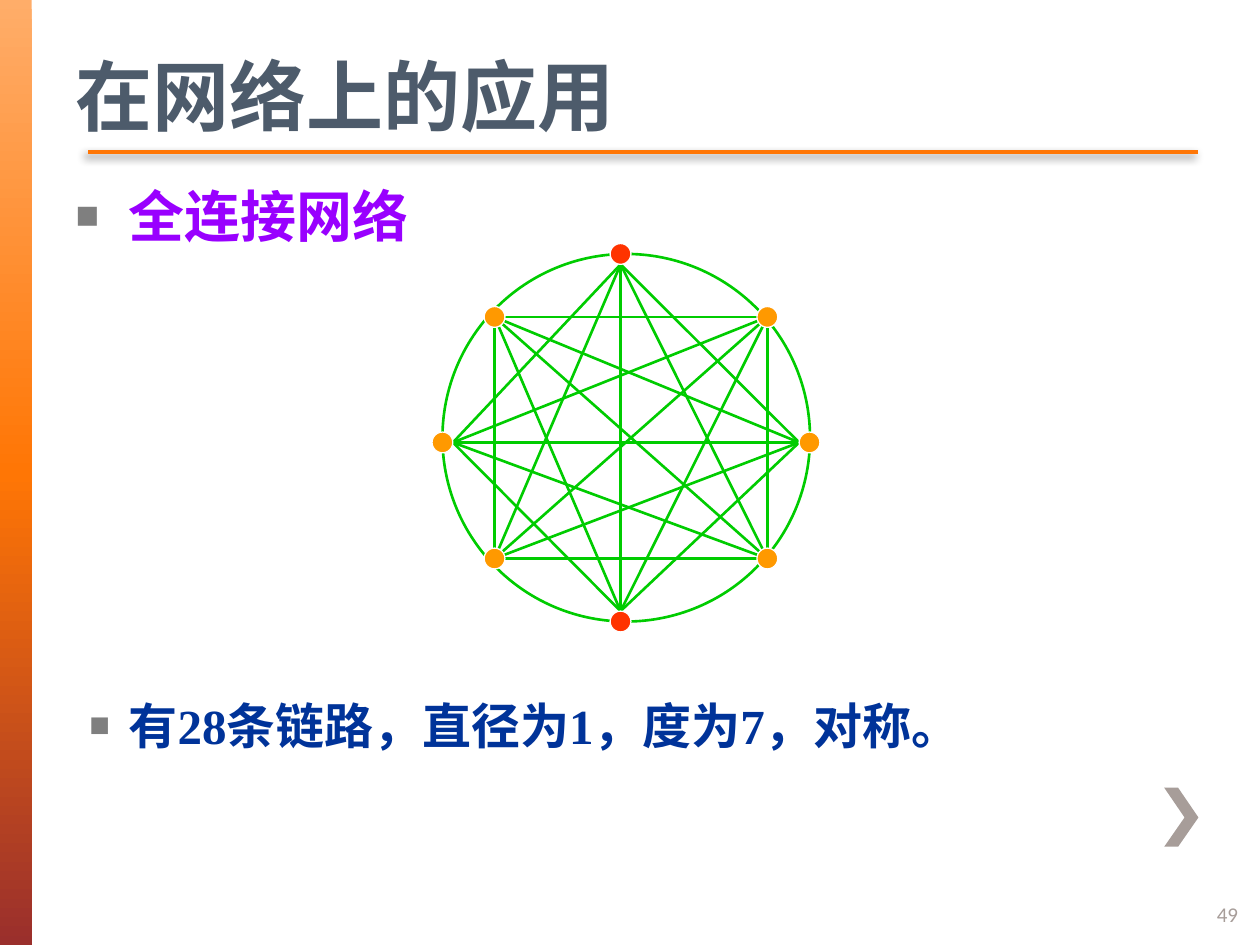
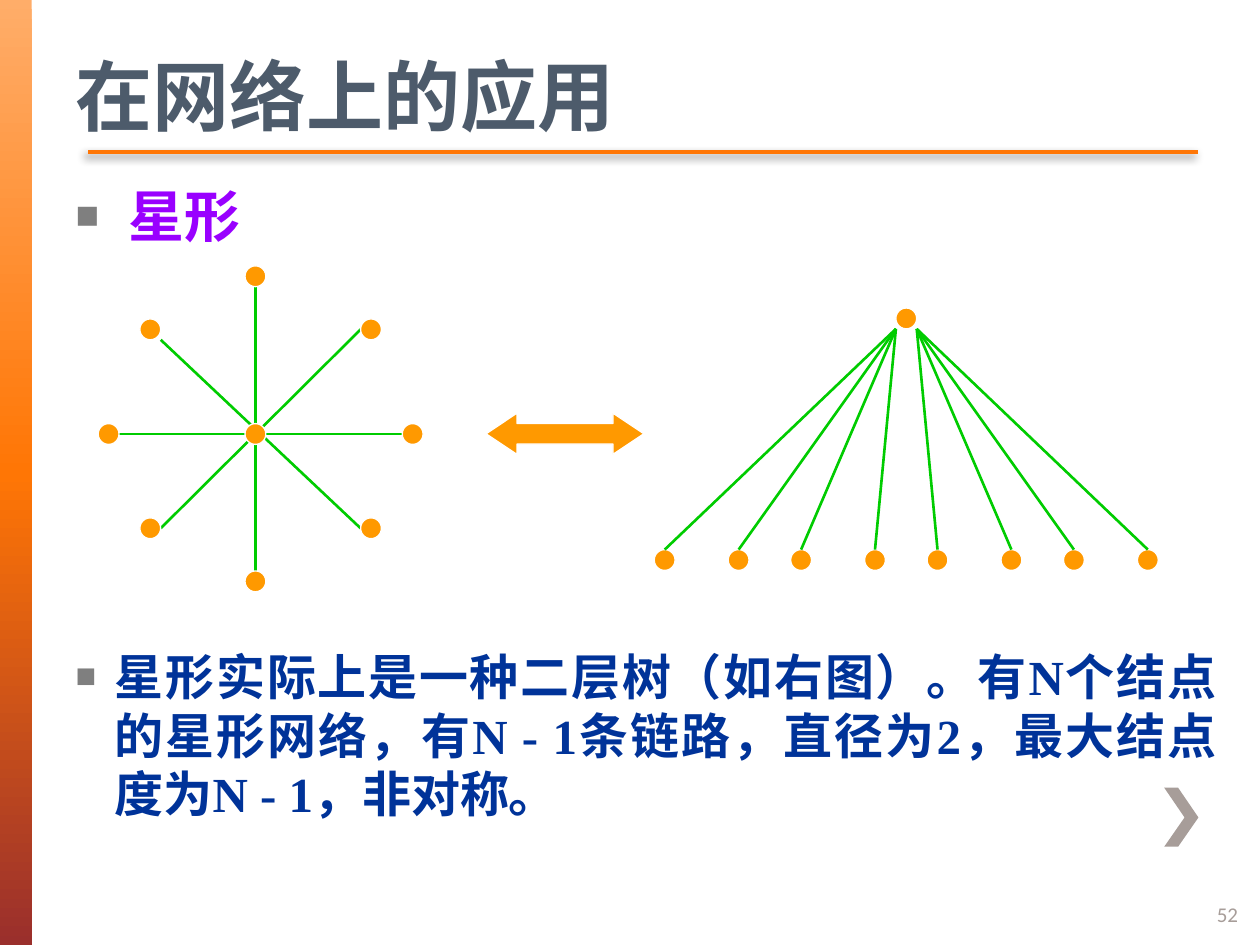
"""Build two slides on network topologies: fully connected and star."""
from dataclasses import dataclass
from itertools import combinations
from typing import Optional

from lxml import etree
from pptx import Presentation
from pptx import util as u
from pptx.dml.color import RGBColor
from pptx.enum import shapes, text
from pptx.oxml.ns import qn

ORANGE, RED, GREEN, WHITE = "FF9900", "FF3300", "00CC00", "FFFFFF"
ACCENT, SLATE, TAUPE = "FF7605", "4D5B6B", "A79D99"
PURPLE, NAVY, BULLET_GREY = "9900FF", "003399", "7F7F7F"
BAND_STOPS = ((0, "FFAD69"), (50, ACCENT), (100, "9A2F2C"))
TITLE_FONT, BODY_FONT = "Calibri", "Times New Roman"
NODE_SIZE = 0.42
EDGE = NODE_SIZE / 2


@dataclass(frozen=True)
class Box:
    left: float
    top: float
    width: float
    height: float


@dataclass(frozen=True)
class Node:
    """A network node: its centre, and the offset where its links attach."""
    x: float
    y: float
    port_x: float = 0
    port_y: float = 0
    color: str = ORANGE

    def port(self) -> tuple[float, float]:
        return self.x + self.port_x, self.y + self.port_y


@dataclass(frozen=True)
class Topic:
    number: str
    headline: str
    note: str
    note_box: Box


TITLE = "在网络上的应用"
TITLE_BOX = Box(1.27, 0.91, 22.86, 2.01)
HEADLINE_BOX = Box(0, 3.53, 24.33, 1.9)
NUMBER_BOX = Box(24.28, 17.91, 1.07, 1.02)

FULL = Topic("49", "全连接网络", "有28条链路，直径为1，度为7，对称。",
             Box(0.28, 13.89, 25.12, 1.52))
STAR = Topic("52", "星形",
             "星形实际上是一种二层树（如右图）。有N个结点的星形网络，"
             "有N - 1条链路，直径为2，最大结点度为N - 1，非对称。",
             Box(0, 12.9, 24.77, 5.51))

FULL_RING = Box(8.92, 5.12, 7.41, 7.41)
FULL_NODES = (
    Node(12.51, 5.12, 0, EDGE, RED),
    Node(15.47, 6.39),
    Node(16.32, 8.92, -EDGE, 0),
    Node(15.47, 11.26),
    Node(12.51, 12.53, 0, -EDGE, RED),
    Node(9.97, 11.26),
    Node(8.92, 8.92, EDGE, 0),
    Node(9.97, 6.39),
)

HUB = Node(5.15, 8.75)
STAR_NODES = (
    Node(5.15, 5.57, 0, EDGE),
    Node(7.48, 6.64, -EDGE, 0),
    Node(8.32, 8.75, -EDGE, 0),
    Node(7.48, 10.65, -EDGE, 0),
    Node(5.15, 11.72, 0, -EDGE),
    Node(3.03, 10.65, EDGE, 0),
    Node(2.19, 8.75, EDGE, 0),
    Node(3.03, 6.64, EDGE, EDGE),
)

ARROW_BOX = Box(9.8, 8.33, 3.18, 0.83)
ROOT = Node(18.27, 6.42)
LEAVES = tuple(Node(13.4 + 2.75 * pair + 1.49 * member, 11.29, 0, -EDGE)
               for pair in range(4) for member in range(2))


def rgb(color: str) -> RGBColor:
    return RGBColor.from_string(color)


def cm(*lengths: float) -> list[int]:
    return [u.Cm(length) for length in lengths]


def place(shape, box: Box) -> None:
    shape.left, shape.top, shape.width, shape.height = cm(
        box.left, box.top, box.width, box.height)


def add_bullet(paragraph, margin: float, indent: float) -> None:
    """Give a paragraph a hanging square bullet."""
    properties = paragraph._p.get_or_add_pPr()
    properties.set("marL", str(u.Cm(margin)))
    properties.set("indent", str(u.Cm(indent)))
    color = etree.SubElement(properties, qn("a:buClr"))
    etree.SubElement(color, qn("a:srgbClr"), val=BULLET_GREY)
    etree.SubElement(properties, qn("a:buSzPct"), val="70000")
    etree.SubElement(properties, qn("a:buChar"), char="■")


def write(shape, words: str, *, size: float, color: str, font: str = BODY_FONT,
          bold: bool = True, align=text.PP_ALIGN.LEFT, anchor=text.MSO_ANCHOR.TOP,
          bullet: Optional[tuple[float, float]] = None) -> None:
    """Fill a shape with one formatted paragraph."""
    frame = shape.text_frame
    frame.word_wrap = True
    frame.auto_size = text.MSO_AUTO_SIZE.NONE
    frame.vertical_anchor = anchor
    paragraph = frame.paragraphs[0]
    if bullet:
        add_bullet(paragraph, *bullet)
    paragraph.alignment = align
    paragraph.space_before = u.Pt(0)
    run = paragraph.add_run()
    run.text = words
    run.font.size = u.Pt(size)
    run.font.name = font
    run.font.bold = bold
    run.font.color.rgb = rgb(color)


def add_figure(slide, kind, box: Box, fill: Optional[str] = None,
               line: Optional[str] = None, weight: float = 0.75):
    """Draw a preset shape without shadow."""
    figure = slide.shapes.add_shape(
        kind, *cm(box.left, box.top, box.width, box.height))
    figure.shadow.inherit = False
    if fill:
        figure.fill.solid()
        figure.fill.fore_color.rgb = rgb(fill)
    else:
        figure.fill.background()
    if line:
        figure.line.color.rgb = rgb(line)
        figure.line.width = u.Pt(weight)
    else:
        figure.line.fill.background()
    return figure


def add_line(slide, start: tuple[float, float], end: tuple[float, float],
             color: str = GREEN, weight: float = 1.5):
    """Draw a straight line and return its empty effect list."""
    line = slide.shapes.add_connector(
        shapes.MSO_CONNECTOR.STRAIGHT, *cm(*start, *end))
    line.line.color.rgb = rgb(color)
    line.line.width = u.Pt(weight)
    return etree.SubElement(line._element.spPr, qn("a:effectLst"))


def add_nodes(slide, *nodes: Node) -> None:
    for node in nodes:
        box = Box(node.x - EDGE, node.y - EDGE, NODE_SIZE, NODE_SIZE)
        add_figure(slide, shapes.MSO_SHAPE.OVAL, box, node.color, WHITE)


def add_band(slide) -> None:
    """Draw the gradient band on the left edge."""
    band = add_figure(slide, shapes.MSO_SHAPE.RECTANGLE, Box(0, 0, 0.64, 19.05))
    band.fill.gradient()
    band.fill.gradient_angle = 270
    stops = band._element.spPr.find(qn("a:gradFill")).find(qn("a:gsLst"))
    for stop in list(stops):
        stops.remove(stop)
    for position, color in BAND_STOPS:
        stop = etree.SubElement(stops, qn("a:gs"), pos=str(position * 1000))
        etree.SubElement(stop, qn("a:srgbClr"), val=color)


def add_chevron(slide) -> None:
    """Draw the chevron at the lower right."""
    outline = [(23.75, 15.88), (23.47, 15.88), (23.88, 16.48),
               (23.47, 17.07), (23.75, 17.07), (24.16, 16.48)]
    start, *rest = [cm(*point) for point in outline]
    builder = slide.shapes.build_freeform(*start)
    builder.add_line_segments(rest, close=True)
    chevron = builder.convert_to_shape()
    chevron.shadow.inherit = False
    chevron.fill.solid()
    chevron.fill.fore_color.rgb = rgb(TAUPE)
    chevron.line.fill.background()


def add_title_rule(slide) -> None:
    """Draw the shadowed rule under the title."""
    effects = add_line(slide, (1.78, 3.07), (24.16, 3.07), ACCENT, 2.5)
    shadow = etree.SubElement(
        effects, qn("a:outerShdw"), blurRad=str(u.Pt(5)), dist=str(u.Pt(3)),
        dir=str(135 * 60000), algn="tr", rotWithShape="0")
    color = etree.SubElement(shadow, qn("a:srgbClr"), val="000000")
    etree.SubElement(color, qn("a:alpha"), val="45000")


def add_topic(deck, topic: Topic):
    """Add a slide with the shared frame and the texts of one topic."""
    slide = deck.slides.add_slide(deck.slide_layouts[3])
    title, headline, note = slide.placeholders
    add_band(slide)
    add_chevron(slide)
    add_title_rule(slide)
    place(title, TITLE_BOX)
    write(title, TITLE, size=44, color=SLATE, font=TITLE_FONT,
          anchor=text.MSO_ANCHOR.MIDDLE)
    place(headline, HEADLINE_BOX)
    write(headline, topic.headline, size=32, color=PURPLE, bullet=(2.34, -1.07))
    place(note, topic.note_box)
    write(note, topic.note, size=28, color=NAVY, align=text.PP_ALIGN.JUSTIFY,
          bullet=(2.06, -0.79))
    number = slide.shapes.add_textbox(0, 0, 0, 0)
    place(number, NUMBER_BOX)
    write(number, topic.number, size=12, color=TAUPE, font=TITLE_FONT,
          bold=False, anchor=text.MSO_ANCHOR.MIDDLE)
    return slide


def draw_full_network(slide) -> None:
    """Join every pair of nodes; the ring joins the neighbours."""
    add_figure(slide, shapes.MSO_SHAPE.OVAL, FULL_RING, line=GREEN, weight=1.5)
    last = len(FULL_NODES) - 1
    for (i, first), (j, second) in combinations(enumerate(FULL_NODES), 2):
        if j - i not in (1, last):
            add_line(slide, first.port(), second.port())
    add_nodes(slide, *FULL_NODES)


def draw_star(slide) -> None:
    """Join opposite nodes through the hub."""
    half = len(STAR_NODES) // 2
    for first, second in zip(STAR_NODES[:half], STAR_NODES[half:]):
        add_line(slide, first.port(), second.port())
    add_nodes(slide, HUB, *STAR_NODES)


def draw_tree(slide) -> None:
    """Draw the two-level tree that equals the star."""
    add_nodes(slide, ROOT, *LEAVES)
    for leaf in LEAVES:
        side = -EDGE if leaf.x < ROOT.x else EDGE
        add_line(slide, (ROOT.x + side, ROOT.y + EDGE), leaf.port())


def main() -> None:
    deck = Presentation()
    deck.slide_width, deck.slide_height = cm(25.4, 19.05)
    draw_full_network(add_topic(deck, FULL))

    star_slide = add_topic(deck, STAR)
    draw_star(star_slide)
    arrow = add_figure(star_slide, shapes.MSO_SHAPE.LEFT_RIGHT_ARROW,
                       ARROW_BOX, ORANGE, WHITE)
    arrow.adjustments[0], arrow.adjustments[1] = 0.5, 0.75
    draw_tree(star_slide)
    deck.save("out.pptx")


if __name__ == "__main__":
    main()
